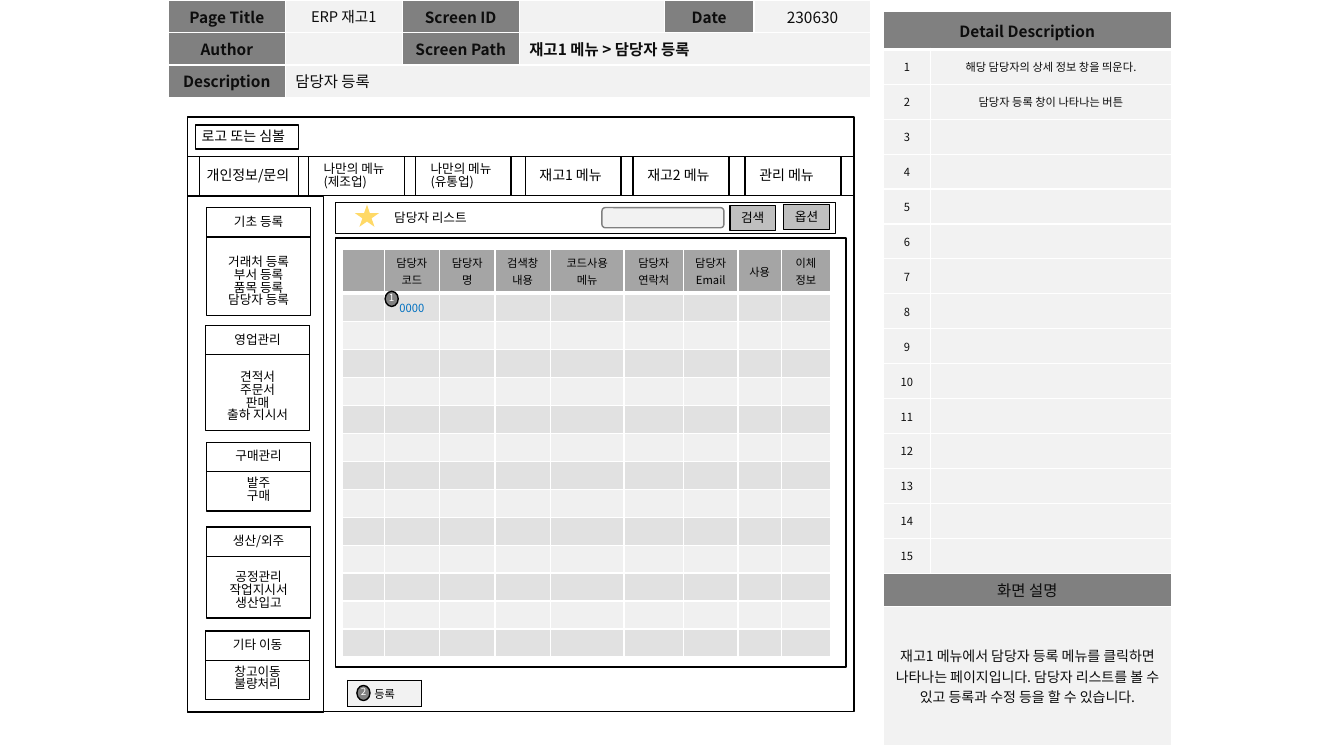
from lxml import etree
from pptx import Presentation
from pptx.dml.color import RGBColor
from pptx.enum import shapes, text
from pptx.oxml import ns
from pptx.util import Inches, Pt

FONT = "Noto Sans CJK KR"
COLORS = {
    "black": "000000", "ink": "0D0D0D", "white": "FFFFFF", "blue": "0070C0",
    "label": "808080", "field": "F2F2F2", "heading": "A5A5A5",
    "odd": "E1E1E1", "even": "F0F0F0", "button": "BFBFBF", "star": "FFD966",
}
SHAPE, ALIGN = shapes.MSO_SHAPE, text.PP_ALIGN


def rgb(name):
    return RGBColor.from_string(COLORS[name])


def write(frame, words, size, color="black", bold=False, align=ALIGN.CENTER, spacing=None):
    """Fill a text frame, one paragraph per line of words."""
    frame.text = words
    for paragraph in frame.paragraphs:
        paragraph.alignment = align
        paragraph.line_spacing = spacing
        font = paragraph.font
        font.size, font.bold, font.name = Pt(size), bold, FONT
        font.color.rgb = rgb(color)
        default = paragraph._p.pPr.find(ns.qn("a:defRPr"))
        etree.SubElement(default, ns.qn("a:ea"), typeface=FONT)


def add_box(slide, left, top, width, height, words="", size=9, fill=None, line="black",
            weight=1, kind=SHAPE.RECTANGLE, align=ALIGN.CENTER, insets=(0, 0), color="black"):
    box = slide.shapes.add_shape(kind, *map(Inches, (left, top, width, height)))
    box.shadow.inherit = False
    if fill:
        box.fill.solid()
        box.fill.fore_color.rgb = rgb(fill)
    else:
        box.fill.background()
    if line:
        box.line.color.rgb = rgb(line)
        box.line.width = Pt(weight)
    else:
        box.line.fill.background()
    if words:
        frame = box.text_frame
        frame.word_wrap = True
        frame.vertical_anchor = text.MSO_ANCHOR.MIDDLE
        frame.margin_left, frame.margin_right = map(Inches, insets)
        frame.margin_top = frame.margin_bottom = 0
        write(frame, words, size, color, align=align, spacing=0.84)
    return box


def add_grid(slide, left, top, columns, rows):
    frame = slide.shapes.add_table(len(rows), len(columns), *map(
        Inches, (left, top, sum(columns), sum(rows))))
    table = frame.table
    table.first_row = table.horz_banding = False
    for column, width in zip(table.columns, columns):
        column.width = Inches(width)
    for row, height in zip(table.rows, rows):
        row.height = Inches(height)
    return table


def fill_cell(cell, words, size, fill, border="white", bottom=1, **style):
    write(cell.text_frame, words, size, **style)
    cell.vertical_anchor = text.MSO_ANCHOR.MIDDLE
    properties = cell._tc.get_or_add_tcPr()
    for side in "LRTB":
        weight = bottom if side == "B" else 1
        edge = etree.SubElement(properties, ns.qn(f"a:ln{side}"), w=str(Pt(weight)))
        solid = etree.SubElement(edge, ns.qn("a:solidFill"))
        etree.SubElement(solid, ns.qn("a:srgbClr"), val=COLORS[border])
    cell.fill.solid()
    cell.fill.fore_color.rgb = rgb(fill)


def add_page_header(slide, left, top):
    table = add_grid(slide, left, top, [1.16, 1.16, 1.16, 1.44, 0.89, 1.16], [0.31, 0.32, 0.32])
    table.cell(1, 3).merge(table.cell(1, 5))
    table.cell(2, 1).merge(table.cell(2, 5))
    labels = {(0, 0): "Page Title", (0, 2): "Screen ID", (0, 4): "Date",
              (1, 0): "Author", (1, 2): "Screen Path", (2, 0): "Description"}
    values = {(0, 1): "ERP 재고1", (0, 5): "230630",
              (1, 3): "재고1 메뉴 > 담당자 등록", (2, 1): "담당자 등록"}
    for row in range(3):
        for column in range(6):
            place = row, column
            is_label, is_path = place in labels, place == (1, 3)
            fill_cell(table.cell(*place), labels.get(place, values.get(place, "")),
                      10.5 if place == (0, 1) else 11, "label" if is_label else "field",
                      color="ink", bold=is_label or is_path,
                      align=ALIGN.LEFT if is_path or place == (2, 1) else ALIGN.CENTER)


def add_tabs(slide, left, top):
    """Menu bar: one box per tab, given by offset, width, text size and left inset."""
    height = 0.39
    add_box(slide, left, top, 6.61, height)
    tabs = [(0.12, 0.98, "개인정보/문의", 10, 0.07), (1.2, 0.95, "나만의 메뉴\n(제조업)", 9, 0.15),
            (2.26, 0.95, "나만의 메뉴\n(유통업)", 9, 0.15), (3.35, 0.95, "재고1 메뉴", 10, 0.14),
            (4.42, 0.95, "재고2 메뉴", 10, 0.14), (5.53, 0.95, "관리 메뉴", 10, 0.14)]
    for offset, width, words, size, inset in tabs:
        add_box(slide, left + offset, top, width, height, words.replace("\n", "\v"), size,
                align=ALIGN.LEFT, insets=(inset, 0))


def add_sidebar(slide, left, top):
    add_box(slide, left, top, 1.35, 5.12)
    groups = [
        (0.19, 0.11, 1.07, "기초 등록", ["거래처 등록", "부서 등록", "품목 등록", "담당자 등록"]),
        (0.18, 1.28, 1.04, "영업관리", ["견적서", "주문서", "판매", "출하 지시서"]),
        (0.19, 2.44, 0.68, "구매관리", ["발주", "구매"]),
        (0.19, 3.28, 0.9, "생산/외주", ["공정관리", "작업지시서", "생산입고"]),
        (0.18, 4.31, 0.68, "기타 이동", ["창고이동", "불량처리"]),
    ]
    width = 1.03
    for x, y, height, title, items in groups:
        add_box(slide, left + x, top + y, width, 0.29, title)
        card = add_box(slide, left + x, top + y, width, height, "\n".join(items))
        card.text_frame.vertical_anchor = text.MSO_ANCHOR.BOTTOM
        card.text_frame.margin_bottom = Inches(0.08)


def add_toolbar(slide, left, top):
    add_box(slide, left, top, 4.96, 0.31, "담당자 리스트", align=ALIGN.LEFT, insets=(0.58, 0))
    add_box(slide, left + 0.19, top + 0.02, 0.24, 0.22, fill="star", line=None,
            kind=SHAPE.STAR_5_POINT)
    add_box(slide, left + 2.64, top + 0.05, 1.21, 0.2, fill="field", line="label",
            kind=SHAPE.ROUNDED_RECTANGLE)
    add_box(slide, left + 3.91, top + 0.03, 0.45, 0.25, "검색", fill="button", weight=0.75)
    add_box(slide, left + 4.44, top + 0.02, 0.46, 0.25, "옵션", fill="button", weight=0.75)


def add_marker(slide, left, top, number):
    add_box(slide, left, top, 0.13, 0.15, number, 7, fill="label", kind=SHAPE.OVAL,
            color="white")


def add_manager_list(slide, left, top):
    add_box(slide, left, top, 5.06, 4.26)
    headings = ["", "담당자\n코드", "담당자명", "검색창\n내용", "코드사용\n메뉴",
                "담당자\n연락처", "담당자\nEmail", "사용", "이체정보"]
    entries, heading_height = 13, 0.44
    table = add_grid(slide, left + 0.07, top + 0.11,
                     [0.41, 0.55, 0.55, 0.55, 0.73, 0.59, 0.54, 0.43, 0.49],
                     [heading_height] + [(4.05 - heading_height) / entries] * entries)
    for column, heading in enumerate(headings):
        fill_cell(table.cell(0, column), heading, 8, "heading", bottom=3)
        for row in range(1, entries + 1):
            code = "0000" if (row, column) == (1, 1) else ""
            fill_cell(table.cell(row, column), code, 8, "odd" if row % 2 else "even",
                      color="blue")
    add_marker(slide, left + 0.49, top + 0.53, "1")


def add_register_button(slide, left, top):
    table = add_grid(slide, left, top, [0.73], [0.25])
    fill_cell(table.cell(0, 0), "등록", 8, "field", border="black")
    add_marker(slide, left + 0.09, top + 0.05, "2")


def add_screen(slide, left, top):
    """The wireframe window with its menus, list and button."""
    add_box(slide, left, top, 6.61, 5.9)
    add_box(slide, left + 0.08, top + 0.08, 1.02, 0.24, "로고 또는 심볼", 10,
            align=ALIGN.LEFT, insets=(0.06, 0))
    add_tabs(slide, left, top + 0.39)
    add_sidebar(slide, left, top + 0.79)
    add_toolbar(slide, left + 1.47, top + 0.85)
    add_manager_list(slide, left + 1.47, top + 1.2)
    add_register_button(slide, left + 1.59, top + 5.59)


def add_detail_panel(slide, left, top):
    notes = ["해당 담당자의 상세 정보 창을 띄운다.", "담당자 등록 창이 나타나는 버튼"] + [""] * 13
    title, caption, summary = 0.38, 0.33, 1.38
    note_height = (7.29 - title - caption - summary) / len(notes)
    table = add_grid(slide, left, top, [0.47, 2.39],
                     [title] + [note_height] * len(notes) + [caption, summary])
    for row, note in enumerate(notes, 1):
        for column, words in enumerate((str(row), note)):
            fill_cell(table.cell(row, column), words, 8, "field", color="ink")
    banners = [
        (0, "Detail Description", 11, "label", 3, True),
        (16, "화면 설명", 11, "label", 1, False),
        (17, "재고1 메뉴에서 담당자 등록 메뉴를 클릭하면 나타나는 페이지입니다. "
             "담당자 리스트를 볼 수 있고 등록과 수정 등을 할 수 있습니다.", 10, "field", 1, False),
    ]
    for row, words, size, fill, bottom, bold in banners:
        table.cell(row, 0).merge(table.cell(row, 1))
        fill_cell(table.cell(row, 0), words, size, fill, bottom=bottom, color="ink", bold=bold)


def main():
    deck = Presentation()
    deck.slide_width, deck.slide_height = Inches(13.33), Inches(7.5)
    slide = deck.slides.add_slide(deck.slide_layouts[6])
    add_page_header(slide, 1.67, 0)
    add_screen(slide, 1.86, 1.16)
    add_detail_panel(slide, 8.76, 0.11)
    deck.save("out.pptx")


if __name__ == "__main__":
    main()
